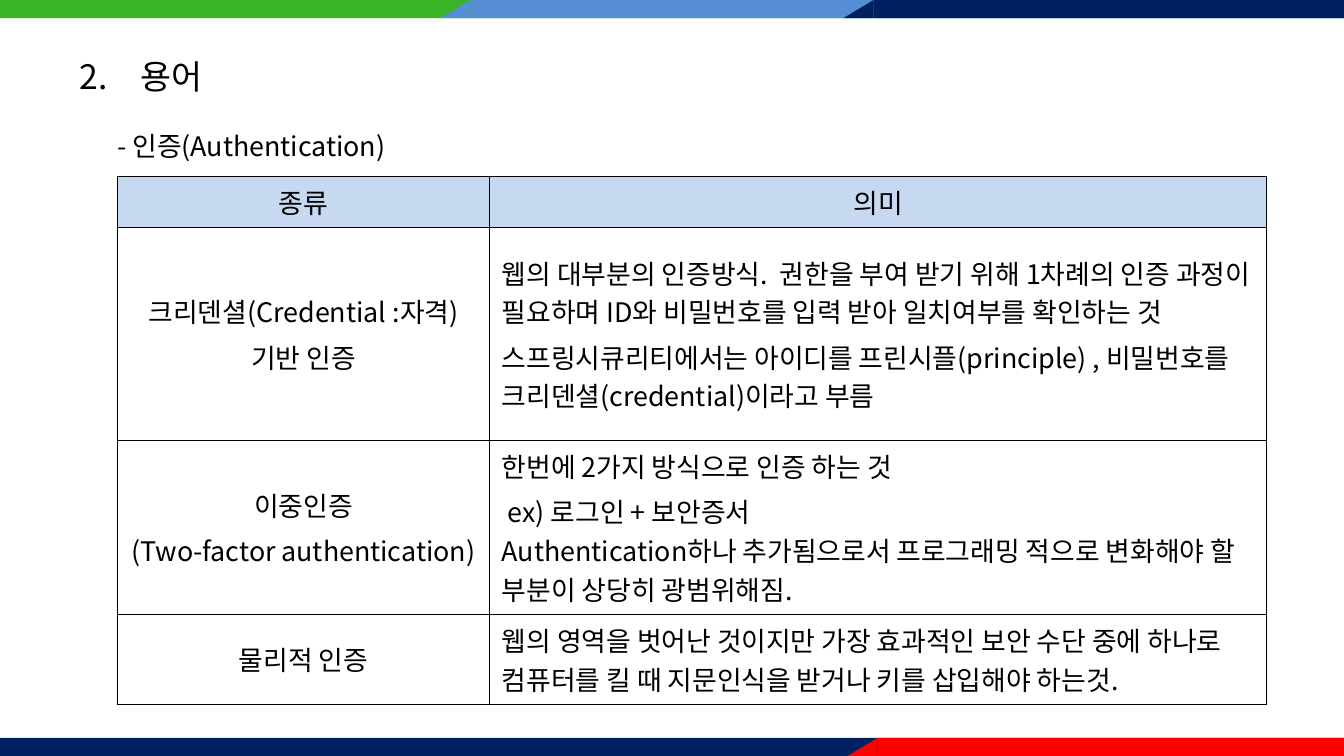
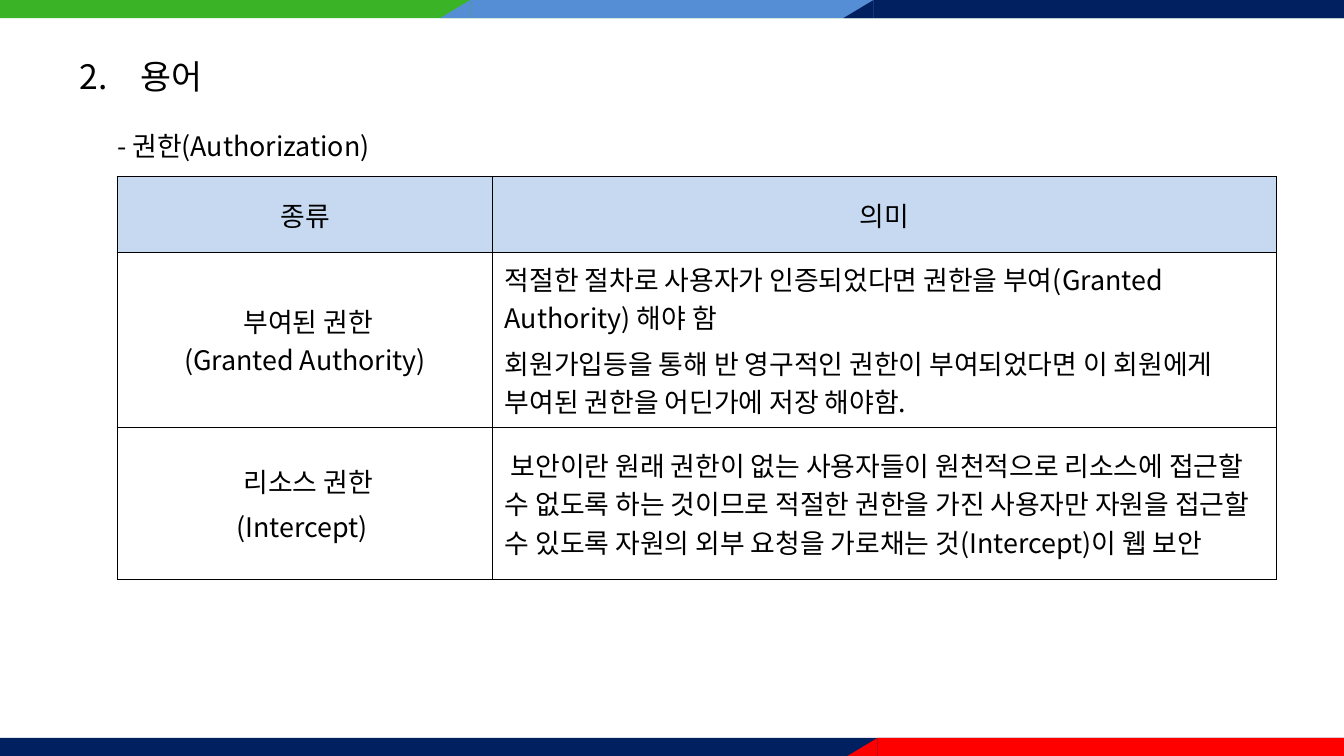
from lxml.etree import SubElement
from pptx import Presentation
from pptx.dml.color import RGBColor
from pptx.enum.shapes import MSO_SHAPE as Preset
from pptx.enum.text import MSO_ANCHOR as Anchor, MSO_AUTO_SIZE as AutoSize, PP_ALIGN as Align
from pptx.oxml.ns import qn
from pptx.util import Inches, Pt

# Shared look
WIDTH, HEIGHT = 11.11, 6.25
BAND, SLANT = 0.15, 0.25
FONT = "Noto Sans CJK KR"
COLORS = {"green": "3AB426", "blue": "558ED5", "navy": "002060", "red": "FF0000",
          "header": "C6D9F1", "white": "FFFFFF", "black": "000000"}
TABLE_LEFT, TABLE_TOP, TYPE_SHARE = 0.97, 1.46, 0.324
THICK, THIN = Pt(1.08), Pt(0.45)

# Bands: colour, left edge as a share of the width, top, slanted start
BANDS = [("green", 0, 0, False), ("blue", 0.35, 0, True), ("navy", 0.65, 0, True),
         ("navy", 0, HEIGHT - BAND, False), ("red", 0.653, HEIGHT - BAND, True)]

# Slides: subheading, table width, row heights, table rows
SLIDES = [
    ("- 인증(Authentication)", 9.5, [0.42, 1.76, 1.44, 0.74], [
        ("종류", "의미"),
        ("크리덴셜(Credential :자격)\n기반 인증",
         "웹의 대부분의 인증방식.  권한을 부여 받기 위해 1차례의 인증 과정이 필요하며 "
         "ID와 비밀번호를 입력 받아 일치여부를 확인하는 것\n"
         "스프링시큐리티에서는 아이디를 프린시플(principle) , "
         "비밀번호를 크리덴셜(credential)이라고 부름"),
        ("이중인증\n(Two-factor authentication)",
         "한번에 2가지 방식으로 인증 하는 것\n"
         " ex) 로그인 + 보안증서\vAuthentication하나 추가됨으로서 프로그래밍 적으로 "
         "변화해야 할 부분이 상당히 광범위해짐."),
        ("물리적 인증",
         "웹의 영역을 벗어난 것이지만 가장 효과적인 보안 수단 중에 하나로 "
         "컴퓨터를 킬 때 지문인식을 받거나 키를 삽입해야 하는것."),
    ]),
    ("- 권한(Authorization)", 9.58, [0.63, 1.44, 1.26], [
        ("종류", "의미"),
        (" 부여된 권한\v(Granted Authority)",
         "적절한 절차로 사용자가 인증되었다면 권한을 부여(Granted Authority) 해야 함\n"
         "회원가입등을 통해 반 영구적인 권한이 부여되었다면 이 회원에게 "
         "부여된 권한을 어딘가에 저장 해야함."),
        (" 리소스 권한\n(Intercept) ",
         " 보안이란 원래 권한이 없는 사용자들이 원천적으로 리소스에 접근할 수 없도록 하는 "
         "것이므로 적절한 권한을 가진 사용자만 자원을 접근할 수 있도록 자원의 외부 요청을 "
         "가로채는 것(Intercept)이 웹 보안"),
    ]),
]


def write(frame, text, size, alignment=Align.LEFT, before=0):
    """Fill a text frame and format its paragraphs alike."""
    frame.text = text
    frame.word_wrap = True
    for paragraph in frame.paragraphs:
        paragraph.alignment = alignment
        paragraph.space_before = Pt(before)
        font = paragraph.font
        font.size, font.bold, font.name = Pt(size), False, FONT
        font.color.rgb = RGBColor.from_string(COLORS["black"])
        defaults = paragraph._p.pPr.find(qn("a:defRPr"))
        SubElement(defaults, qn("a:ea"), typeface=FONT)


def draw_border(cell, side, width):
    """Draw one black edge of a table cell."""
    properties = cell._tc.get_or_add_tcPr()
    line = SubElement(properties, qn(f"a:ln{side}"), w=str(int(width)))
    fill = SubElement(line, qn("a:solidFill"))
    SubElement(fill, qn("a:srgbClr"), val=COLORS["black"])


presentation = Presentation()
presentation.slide_width, presentation.slide_height = Inches(WIDTH), Inches(HEIGHT)
layout = presentation.slide_layouts[5]
for placeholder in list(layout.placeholders):
    if placeholder.placeholder_format.idx:
        placeholder.element.getparent().remove(placeholder.element)
slides = [presentation.slides.add_slide(layout) for _ in SLIDES]

# Bands, drawn once and moved to the shared layout behind its title
bands = []
for color, share, top, slanted in BANDS:
    left = share * WIDTH
    parts = [(Preset.RECTANGLE, left, WIDTH - left)]
    if slanted:
        parts.append((Preset.RIGHT_TRIANGLE, left - SLANT, SLANT))
    for preset, x, width in parts:
        band = slides[0].shapes.add_shape(
            preset, Inches(x), Inches(top), Inches(width), Inches(BAND))
        band.shadow.inherit = False
        band.fill.solid()
        band.fill.fore_color.rgb = RGBColor.from_string(COLORS[color])
        band.line.fill.background()
        if preset == Preset.RIGHT_TRIANGLE:
            band.element.spPr.find(qn("a:xfrm")).set("flipH", "1")
        bands.append(band)
for position, band in enumerate(bands, start=2):
    layout.shapes.element.insert(position, band.element)

for slide, (subheading, table_width, heights, rows) in zip(slides, SLIDES):
    # Numbered title
    title = slide.shapes.title
    title.left, title.top = Inches(0.56), Inches(0.41)
    title.width, title.height = Inches(10.17), Inches(0.5)
    write(title.text_frame, "용어", 20)
    title.text_frame.auto_size = AutoSize.NONE
    title.text_frame.vertical_anchor = Anchor.TOP
    properties = title.text_frame.paragraphs[0]._p.pPr
    properties.set("marL", str(Inches(0.5)))
    properties.set("indent", str(-Inches(0.5)))
    number = SubElement(properties, qn("a:buAutoNum"), type="arabicPeriod", startAt="2")
    properties.find(qn("a:defRPr")).addprevious(number)

    # Subheading
    box = slide.shapes.add_textbox(
        Inches(TABLE_LEFT - 0.1), Inches(1.02), Inches(table_width), Inches(0.42))
    write(box.text_frame, subheading, 16)

    # Table of terms
    table = slide.shapes.add_table(
        len(rows), 2, Inches(TABLE_LEFT), Inches(TABLE_TOP),
        Inches(table_width), Inches(sum(heights))).table
    table.first_row = table.horz_banding = False
    for column, share in zip(table.columns, (TYPE_SHARE, 1 - TYPE_SHARE)):
        column.width = Inches(table_width * share)
    for row_index, (height, texts) in enumerate(zip(heights, rows)):
        table.rows[row_index].height = Inches(height)
        for column_index, text in enumerate(texts):
            cell = table.cell(row_index, column_index)
            centred = row_index == 0 or column_index == 0
            write(cell.text_frame, text, 16, Align.CENTER if centred else Align.LEFT, 4)
            cell.vertical_anchor = Anchor.MIDDLE
            for side in "LRTB":
                outer = (side == "L" and column_index == 0) or (side == "T" and row_index == 0)
                draw_border(cell, side, THICK if outer else THIN)
            cell.fill.solid()
            cell.fill.fore_color.rgb = RGBColor.from_string(
                COLORS["white" if row_index else "header"])

presentation.save("out.pptx")
